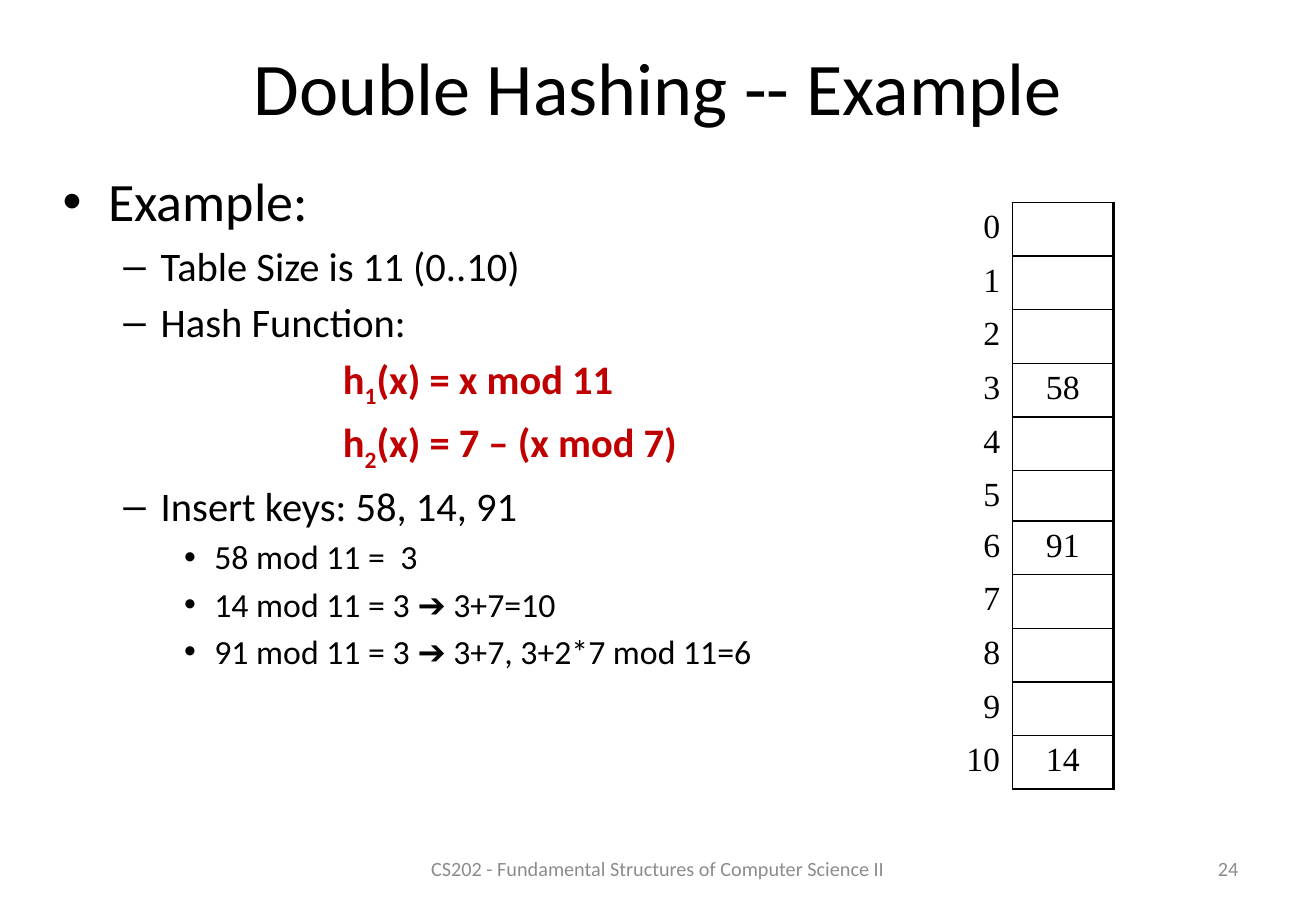
from lxml import etree
from pptx import Presentation, util as u
from pptx.dml.color import RGBColor
from pptx.enum import text
from pptx.oxml import ns

BLACK = RGBColor(0, 0, 0)
RED = RGBColor(0xC0, 0, 0)
GRAY = RGBColor(0x8C, 0x8C, 0x8C)
SCALE = 7620
LEFT, MID, RIGHT = text.PP_ALIGN.LEFT, text.PP_ALIGN.CENTER, text.PP_ALIGN.RIGHT
PLAIN = "{2D5ABB26-0587-4C30-8999-92F81FD0307C}"
LEVELS = {
    "main": (32, 45, -45, "•"),
    "sub": (24, 97, -37, "–"),
    "rule": (24, 277, 0, None),
    "item": (20, 150, -30, "•"),
}
POINTS = [
    ("main", ["Example:"]),
    ("sub", ["Table Size is 11 (0..10)"]),
    ("sub", ["Hash Function:"]),
    ("rule", ["h", "1", "(x) = x mod 11"]),
    ("rule", ["h", "2", "(x) = 7 – (x mod 7)"]),
    ("sub", ["Insert keys: 58, 14, 91"]),
    ("item", ["58 mod 11 =  3"]),
    ("item", ["14 mod 11 = 3 ➔ 3+7=10"]),
    ("item", ["91 mod 11 = 3 ➔ 3+7, 3+2*7 mod 11=6"]),
]
KEYS = {3: "58", 6: "91", 10: "14"}
SLOTS = 11


def px(n):
    return u.Emu(n * SCALE)


def add(node, tag, **attrs):
    return etree.SubElement(node, ns.qn(tag), attrs)


class Deck:
    face = "Calibri"
    serif = "Times New Roman"

    def __init__(self, wide, high):
        self.prs = Presentation()
        self.prs.slide_width, self.prs.slide_height = px(wide), px(high)
        self.slide = self.prs.slides.add_slide(self.prs.slide_layouts[5])

    def style(self, para, size, color=BLACK, face=None, bold=False):
        for run in para.runs:
            font = run.font
            font.name, font.size, font.bold = face or self.face, u.Pt(size), bold
            font.color.rgb = color

    def title(self, words, x, y, w, h):
        shape = self.slide.shapes.title
        shape.left, shape.top, shape.width, shape.height = map(px, (x, y, w, h))
        frame = shape.text_frame
        frame.text = words
        frame.vertical_anchor = text.MSO_ANCHOR.MIDDLE
        frame.paragraphs[0].alignment = MID
        self.style(frame.paragraphs[0], 44)

    def box(self, x, y, w, h):
        frame = self.slide.shapes.add_textbox(*map(px, (x, y, w, h))).text_frame
        frame.word_wrap = True
        return frame

    def label(self, words, x, y, w, h, align):
        frame = self.box(x, y, w, h)
        frame.text = words
        frame.vertical_anchor = text.MSO_ANCHOR.MIDDLE
        frame.paragraphs[0].alignment = align
        self.style(frame.paragraphs[0], 12, GRAY)

    def body(self, points, x, y, w, h):
        frame = self.box(x, y, w, h)
        for i, (kind, parts) in enumerate(points):
            para = frame.add_paragraph() if i else frame.paragraphs[0]
            self.point(para, kind, parts)

    def point(self, para, kind, parts):
        size, left, hang, mark = LEVELS[kind]
        para.alignment = LEFT
        para.space_before = u.Pt(size * 0.2)
        props = para._p.get_or_add_pPr()
        props.set("marL", str(px(left)))
        props.set("indent", str(px(hang)))
        if mark:
            add(props, "a:buFont", typeface="Arial")
            add(props, "a:buChar", char=mark)
        for part in parts:
            para.add_run().text = part
        rule = kind == "rule"
        self.style(para, size, RED if rule else BLACK, bold=rule)
        if rule:
            para.runs[1]._r.get_or_add_rPr().set("baseline", "-25000")

    def edge(self, cell, **widths):
        props = cell._tc.get_or_add_tcPr()
        for side in "LRTB":
            width = widths.get(side, 0)
            line = add(props, "a:ln" + side, w=str(u.Pt(width)))
            if width:
                add(add(line, "a:solidFill"), "a:srgbClr", val=str(BLACK))
            else:
                add(line, "a:noFill")
        cell.fill.background()

    def cell(self, cell, words, align):
        cell.margin_top, cell.margin_bottom = px(6), px(4)
        cell.text = words
        para = cell.text_frame.paragraphs[0]
        para.alignment = align
        self.style(para, 20, face=self.serif)

    def table(self, x, y, cols, rows):
        size = map(px, (x, y, sum(cols), sum(rows)))
        grid = self.slide.shapes.add_table(len(rows), len(cols), *size).table
        grid.first_row = grid.horz_banding = False
        grid._tbl.tblPr.find(ns.qn("a:tableStyleId")).text = PLAIN
        for col, width in zip(grid.columns, cols):
            col.width = px(width)
        for i, high in enumerate(rows):
            grid.rows[i].height = px(high)
            slot, key = grid.cell(i, 0), grid.cell(i, 1)
            self.cell(slot, str(i), RIGHT)
            self.cell(key, KEYS.get(i, ""), MID)
            self.edge(slot, R=1)
            self.edge(key, L=1, R=2.25, T=1, B=1)


def main():
    deck = Deck(1300, 900)
    deck.title("Double Hashing -- Example", 65, 30, 1170, 110)
    deck.body(POINTS, 50, 160, 810, 670)
    deck.label("CS202 - Fundamental Structures of Computer Science II",
               410, 834, 480, 48, MID)
    deck.label("24", 931, 834, 304, 48, RIGHT)
    deck.table(930, 200, [70, 100], [48 if i == 5 else 53 for i in range(SLOTS)])
    deck.prs.save("out.pptx")


if __name__ == "__main__":
    main()
